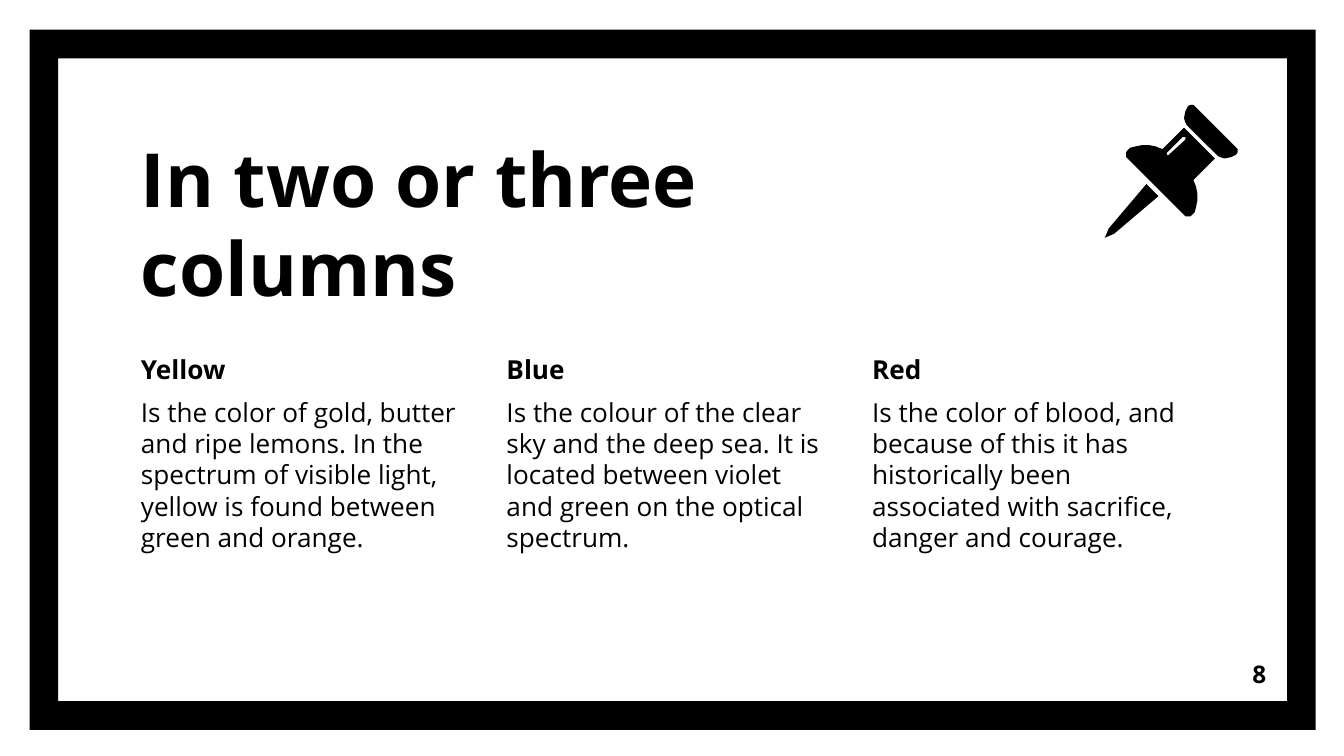
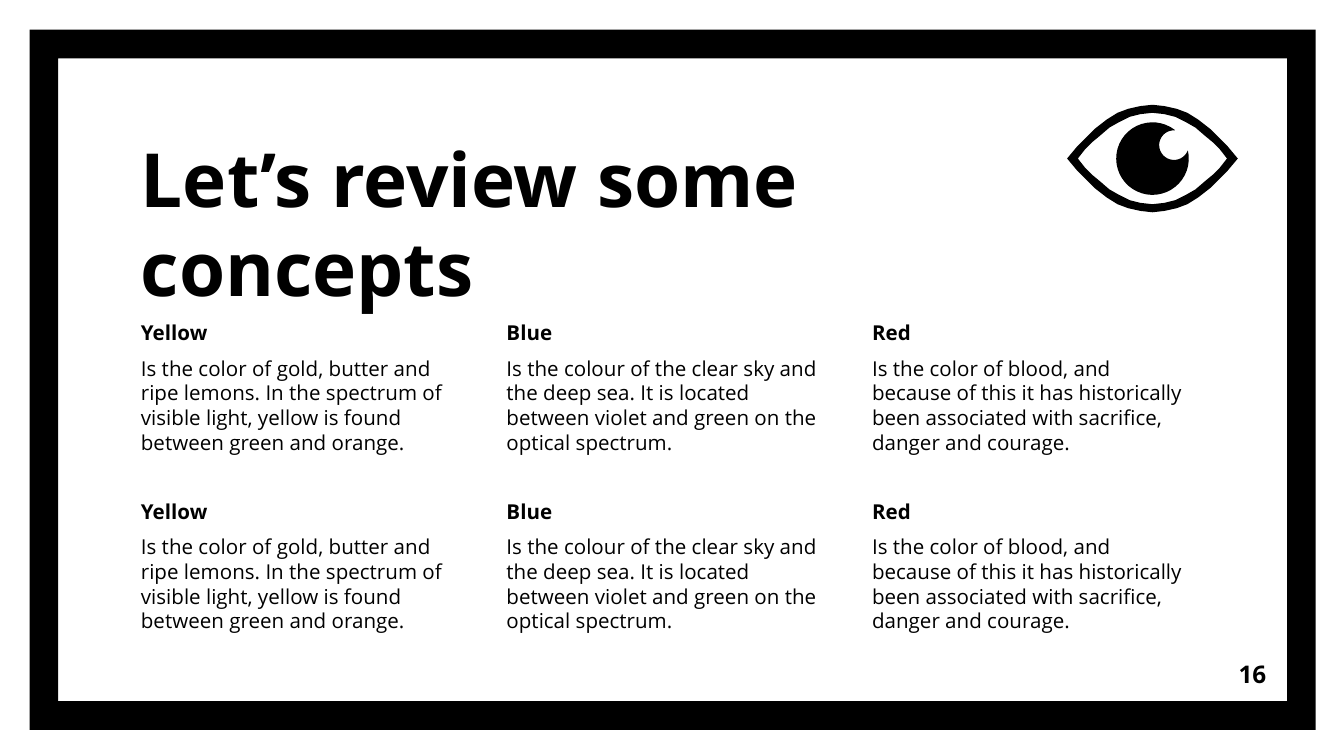
from math import cos, radians, sin

from pptx import Presentation
from pptx.dml.color import RGBColor
from pptx.enum.shapes import MSO_SHAPE as Shape
from pptx.enum.text import MSO_ANCHOR as Anchor, PP_ALIGN as Align
from pptx.util import Inches, Pt

COLORS = {"ink": "000000", "paper": "FFFFFF"}
FONT = "Open Sans"
SLIDE_WIDTH = 10
SLIDE_HEIGHT = SLIDE_WIDTH * 9 / 16
FRAME_BOX = (0.22, 0.22, 9.57, 5.21)
FRAME_THICKNESS = 0.041
TITLE_BOX = (0.95, 0.93, 5.57, 1.49)
NUMBER_BOX = (8.92, 4.8, 0.6, 0.43)
COLUMNS, COLUMN_LEFT, COLUMN_STEP, COLUMN_WIDTH = 3, 0.95, 2.72, 2.59
ROW_STEP = 1.33

CONCEPTS = [
    ("Yellow", "Is the color of gold, butter and ripe lemons. In the spectrum of "
               "visible light, yellow is found between green and orange."),
    ("Blue", "Is the colour of the clear sky and the deep sea. It is located "
             "between violet and green on the optical spectrum."),
    ("Red", "Is the color of blood, and because of this it has historically been "
            "associated with sacrifice, danger and courage."),
]

# One side of each pushpin part; the other side is its reflection.
PIN_AXIS = 9.99
PIN_NEEDLE = [(8.22, 1.77), (8.25, 1.7), (8.53, 1.37)]
PIN_HEAD = [(8.83, 0.93), (8.82, 0.91), (8.81, 0.88), (8.82, 0.83),
            (8.84, 0.79), (8.86, 0.78), (8.88, 0.78), (8.9, 0.8)]
PIN_BODY = [(8.38, 1.17), (8.38, 1.13), (8.41, 1.1), (8.45, 1.09), (8.5, 1.08),
            (8.55, 1.08), (8.6, 1.09), (8.65, 1.11), (8.81, 0.95)]
PIN_GLINT = [(8.68, 1.14), (8.8, 1.02), (8.82, 1.02), (8.82, 1.04),
             (8.7, 1.15), (8.69, 1.16)]

# One quarter of each eyelid edge, as offsets from the centre of the eye.
EYE_CENTER = (8.575, 1.18)
LID_OUTER = [(0, 0.4), (0.09, 0.39), (0.18, 0.37), (0.26, 0.34), (0.34, 0.29),
             (0.43, 0.22), (0.5, 0.15), (0.56, 0.09), (0.635, 0)]
LID_INNER = [(0, 0.34), (0.09, 0.33), (0.17, 0.31), (0.25, 0.27), (0.32, 0.23),
             (0.39, 0.17), (0.45, 0.12), (0.5, 0.07), (0.555, 0)]
PUPIL_RADIUS = 0.27
GLINT_CENTER, GLINT_RADIUS = (8.735, 1.08), 0.11


def mirrored_pin(side):
    """Close a pin part by reflecting its side across the pin's diagonal."""
    return side + [(PIN_AXIS - y, PIN_AXIS - x) for x, y in reversed(side)]


def mirrored_lid(quarter):
    """Turn one quarter of an eyelid edge into the whole outline."""
    center_x, center_y = EYE_CENTER
    half = quarter + [(x, -y) for x, y in reversed(quarter[:-1])]
    outline = half + [(-x, y) for x, y in reversed(half[1:-1])]
    return [(center_x + x, center_y + y) for x, y in outline]


def arc(center, radius, start, end, steps=40):
    angles = [radians(start + (end - start) * i / steps) for i in range(steps + 1)]
    return [(center[0] + radius * cos(a), center[1] + radius * sin(a)) for a in angles]


PIN_ICON = [
    [mirrored_pin(PIN_NEEDLE)],
    [mirrored_pin(PIN_HEAD)],
    [mirrored_pin(PIN_BODY), PIN_GLINT],
]
EYE_ICON = [
    [mirrored_lid(LID_OUTER), mirrored_lid(LID_INNER)],
    [arc(EYE_CENTER, PUPIL_RADIUS, -13, 308) + arc(GLINT_CENTER, GLINT_RADIUS, 273, 21)],
]

SLIDES = [
    {"title": "In two or three columns", "number": 8, "icon": PIN_ICON,
     "concepts": CONCEPTS, "top": 2.53, "height": 2.23, "size": 14},
    {"title": "Let’s review some concepts", "number": 16, "icon": EYE_ICON,
     "concepts": CONCEPTS * 2, "top": 2.28, "height": 1.54, "size": 11},
]


def color(name):
    return RGBColor.from_string(COLORS[name])


def paint(shape):
    shape.shadow.inherit = False
    shape.fill.solid()
    shape.fill.fore_color.rgb = color("ink")
    shape.line.fill.background()


def add_text(slide, box, lines, size, anchor=Anchor.TOP, align=Align.LEFT, space=0):
    """Add a text box whose first line is bold and whose other lines are plain."""
    frame = slide.shapes.add_textbox(*map(Inches, box)).text_frame
    frame.word_wrap = True
    frame.vertical_anchor = anchor
    frame.margin_left = frame.margin_right = Inches(0.1)
    frame.margin_top = frame.margin_bottom = Inches(0.1)
    frame.text = "\n".join(lines)
    for index, paragraph in enumerate(frame.paragraphs):
        paragraph.alignment = align
        paragraph.space_before = Pt(space)
        for run in paragraph.runs:
            run.font.name = FONT
            run.font.size = Pt(size)
            run.font.bold = index == 0
            run.font.color.rgb = color("ink")


def add_icon(slide, parts):
    """Draw each part as one freeform; contours after the first are holes."""
    group = slide.shapes.add_group_shape()
    for contours in parts:
        builder = None
        for contour in contours:
            points = [(Inches(x), Inches(y)) for x, y in contour]
            if builder is None:
                builder = group.shapes.build_freeform(*points[0])
            else:
                builder.move_to(*points[0])
            builder.add_line_segments(points[1:], close=True)
        paint(builder.convert_to_shape())


def add_slide(presentation, content):
    slide = presentation.slides.add_slide(presentation.slide_layouts[6])
    slide.background.fill.solid()
    slide.background.fill.fore_color.rgb = color("paper")
    border = slide.shapes.add_shape(Shape.FRAME, *map(Inches, FRAME_BOX))
    border.adjustments[0] = FRAME_THICKNESS
    paint(border)

    add_text(slide, TITLE_BOX, [content["title"]], 40, anchor=Anchor.BOTTOM)
    for index, concept in enumerate(content["concepts"]):
        row, column = divmod(index, COLUMNS)
        box = (COLUMN_LEFT + column * COLUMN_STEP, content["top"] + row * ROW_STEP,
               COLUMN_WIDTH, content["height"])
        add_text(slide, box, concept, content["size"], space=6)
    add_icon(slide, content["icon"])
    add_text(slide, NUMBER_BOX, [str(content["number"])], 13,
             anchor=Anchor.MIDDLE, align=Align.RIGHT)


def main():
    presentation = Presentation()
    presentation.slide_width = Inches(SLIDE_WIDTH)
    presentation.slide_height = Inches(SLIDE_HEIGHT)
    for content in SLIDES:
        add_slide(presentation, content)
    presentation.save("out.pptx")


if __name__ == "__main__":
    main()
